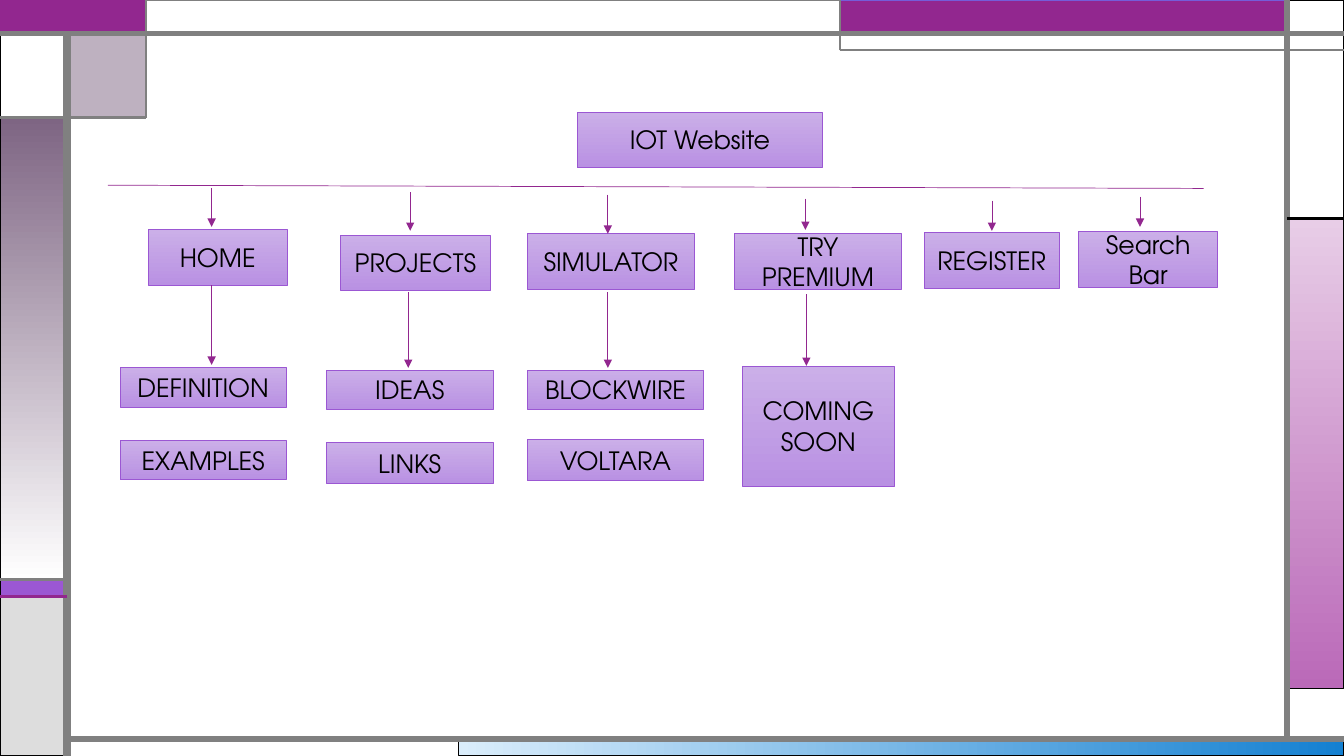
from dataclasses import dataclass
from lxml.etree import SubElement
from pptx import Presentation
from pptx.dml.color import RGBColor
from pptx.enum.shapes import MSO_CONNECTOR, MSO_SHAPE
from pptx.enum.text import MSO_ANCHOR, PP_ALIGN
from pptx.oxml.ns import qn
from pptx.util import Pt


@dataclass(frozen=True)
class Theme:
    font: str = "TeX Gyre Adventor"
    label_size: float = 18
    black: str = "000000"
    white: str = "FFFFFF"
    grey: str = "808080"
    pale_grey: str = "DDDDDD"
    magenta: str = "92278F"
    violet: str = "9B57D3"
    indigo: str = "755DD9"
    mauve: str = "7E6583"
    node: tuple = ("CBAFE8", "B991E3")
    blue_fade: tuple = ("DAEDFB", "1480D1")
    pink_fade: tuple = ("E8CDE7", "BA69B8")
    mauve_fade: tuple = ("7E6583", "FFFFFF")


THEME = Theme()
DOWN, ACROSS = 270, 0  # gradient angles, counter-clockwise
NODE_HEIGHT = 39.75


@dataclass(frozen=True)
class Box:
    left: float
    top: float
    width: float
    height: float

    def inner(self, left, top, width, height):
        return Box(self.left + left, self.top + top, width, height)


@dataclass(frozen=True)
class Branch:
    label: str
    left: float
    top: float
    width: float
    arrow: tuple  # x, start, end
    child_arrow: tuple = ()
    children: tuple = ()  # label, left, top, width, height


BRANCHES = (
    Branch("HOME", 28.8, 84.2, 99.4, (74.2, 54.6, 82), (74.2, 123.8, 180.6),
           (("DEFINITION", 8.7, 182.6, 118.8, 28.1),
            ("EXAMPLES", 8.7, 234.6, 118.8, 28.1))),
    Branch("PROJECTS", 166.4, 87.8, 106.6, (216, 57.5, 84.9), (214.6, 128.8, 182.8),
           (("IDEAS", 156.3, 184.2, 118.8, 28.1),
            ("LINKS", 156.3, 236.1, 118.8, 29.5))),
    Branch("SIMULATOR", 299.6, 87, 119.5, (357.2, 59, 87), (357.2, 128.8, 182.8),
           (("BLOCKWIRE", 299.6, 184.2, 126, 28.1),
            ("VOLTARA", 299.6, 233.9, 126, 29.5))),
    Branch("TRY PREMIUM", 447.9, 87, 118.8, (498.3, 61.8, 84.2), (499, 130.2, 181.4),
           (("COMING SOON", 453.6, 181.4, 108, 85.7),)),
    Branch("REGISTER", 583.2, 86.3, 96.5, (631.5, 63.3, 84.9)),
    Branch("Search Bar", 693.4, 85.6, 99.4, (737.3, 60.4, 82)),
)


def color(code):
    return RGBColor.from_string(code)


def add_panel(page, box, fill, line=THEME.black, weight=0.75, angle=DOWN, alpha=None):
    """Rectangle with a plain fill, or a gradient when fill is a pair."""
    panel = page.shapes.add_shape(MSO_SHAPE.RECTANGLE, Pt(box.left), Pt(box.top),
                                  Pt(box.width), Pt(box.height))
    panel.shadow.inherit = False
    if isinstance(fill, tuple):
        panel.fill.gradient()
        panel.fill.gradient_angle = angle
        for stop, code in zip(panel.fill.gradient_stops, fill):
            stop.color.rgb = color(code)
    else:
        panel.fill.solid()
        panel.fill.fore_color.rgb = color(fill)
    if alpha is not None:
        tint = panel._element.spPr.find(qn("a:solidFill"))[0]
        SubElement(tint, qn("a:alpha"), val=str(alpha * 1000))
    panel.line.color.rgb = color(line)
    panel.line.width = Pt(weight)
    return panel


def add_line(page, box, start, end, line, weight, arrow=False):
    """Straight line between two points measured from the box corner."""
    connector = page.shapes.add_connector(
        MSO_CONNECTOR.STRAIGHT, Pt(box.left + start[0]), Pt(box.top + start[1]),
        Pt(box.left + end[0]), Pt(box.top + end[1]))
    connector.line.color.rgb = color(line)
    connector.line.width = Pt(weight)
    if arrow:
        SubElement(connector.line._get_or_add_ln(), qn("a:tailEnd"), type="triangle")
    SubElement(connector._element.spPr, qn("a:effectLst"))


def add_node(page, box, label):
    node = add_panel(page, box, THEME.node, THEME.violet, 0.5)
    frame = node.text_frame
    frame.word_wrap = True
    frame.vertical_anchor = MSO_ANCHOR.MIDDLE
    para = frame.paragraphs[0]
    para.text = label
    para.alignment = PP_ALIGN.CENTER
    para.font.name = THEME.font
    para.font.size = Pt(THEME.label_size)
    para.font.color.rgb = color(THEME.black)


def add_border(page, box):
    """Coloured panels and rules around the edge of the page."""
    left, top, right, bottom = 48, 24, box.width - 40.5, box.height - 12
    tab, banner, corner = 104, 600, 84
    band_top, band_bottom, side, ledge = 414, 426, 156, 36
    margin = box.width - right

    # Panels
    for place, fill, options in (
        ((327.6, bottom, box.width - 327.6, 12), THEME.blue_fade, {"angle": ACROSS}),
        ((right, side, margin, 336), THEME.pink_fade, {}),
        ((0, band_top, left, band_bottom - band_top), THEME.violet, {}),
        ((0, band_bottom, left, box.height - band_bottom), THEME.pale_grey, {}),
        ((right, 0, margin, side), THEME.white, {}),
        ((banner, 0, right - banner, top), THEME.magenta, {"line": THEME.indigo}),
        ((left, top, tab - left, corner - top), THEME.mauve, {"alpha": 50}),
        ((0, corner, left, band_top - corner), THEME.mauve_fade, {}),
        ((0, top, left, corner - top), THEME.white, {}),
        ((0, 0, tab, top), THEME.magenta, {"line": THEME.magenta, "weight": 1.5}),
        ((tab, 0, banner - tab, top), THEME.white, {"line": THEME.grey}),
    ):
        add_panel(page, box.inner(*place), fill, **options)

    # Rules
    for start, end, line, weight in (
        ((left, box.height), (left, top), THEME.grey, 6),
        ((left, bottom), (box.width, bottom), THEME.grey, 4.5),
        ((right, bottom), (right, 0), THEME.grey, 4.5),
        ((0, top), (box.width, top), THEME.grey, 3),
        ((box.width, ledge), (banner, ledge), THEME.grey, 1.5),
        ((banner, ledge), (banner, 0), THEME.grey, 1.5),
        ((right, side), (box.width, side), THEME.black, 2.25),
        ((tab, 0), (tab, corner), THEME.grey, 1.5),
        ((tab, corner), (0, corner), THEME.grey, 2.25),
        ((left, band_top), (0, band_top), THEME.grey, 2.25),
        ((left, band_bottom), (0, band_bottom), THEME.magenta, 2.25),
    ):
        add_line(page, box, start, end, line, weight)


def add_site_map(page, box):
    """Root node, rail, and one branch per menu item."""
    add_node(page, box.inner(335.5, 0, 175, NODE_HEIGHT), "IOT Website")
    add_line(page, box, (0, 52.3), (box.width, 54.6), THEME.magenta, 0.5)
    for branch in BRANCHES:
        add_node(page, box.inner(branch.left, branch.top, branch.width, NODE_HEIGHT),
                 branch.label)
        for label, *place in branch.children:
            add_node(page, box.inner(*place), label)
        for arrow in filter(None, (branch.arrow, branch.child_arrow)):
            x, start, end = arrow
            add_line(page, box, (x, start), (x, end), THEME.magenta, 0.5, arrow=True)


def main():
    deck = Presentation()
    deck.slide_width, deck.slide_height = Pt(960), Pt(540)
    page = deck.slides.add_slide(deck.slide_layouts[6])
    add_border(page, Box(0, 0, 960, 540))
    add_site_map(page, Box(77, 80, 782.7, 267.1))
    deck.save("out.pptx")


if __name__ == "__main__":
    main()
